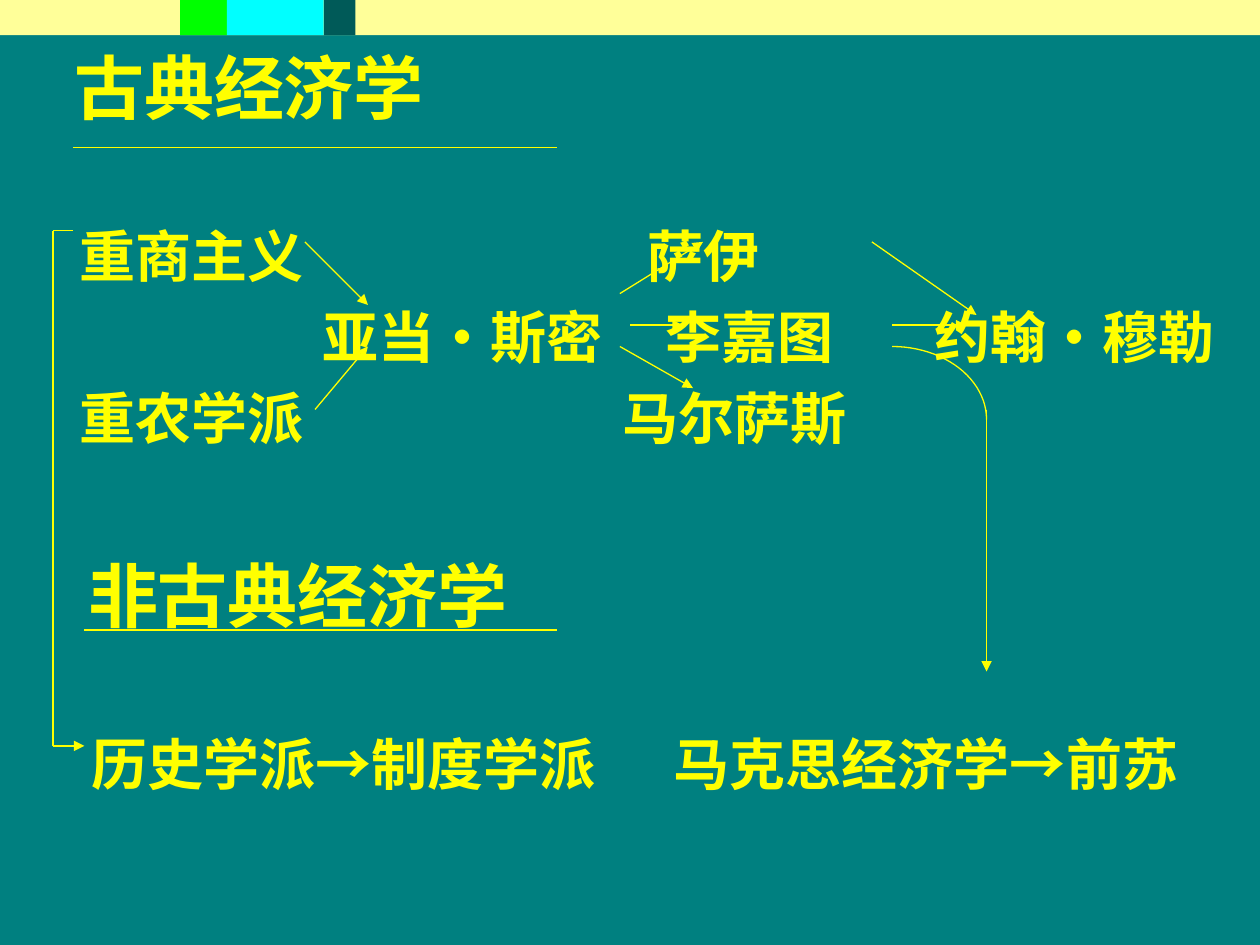
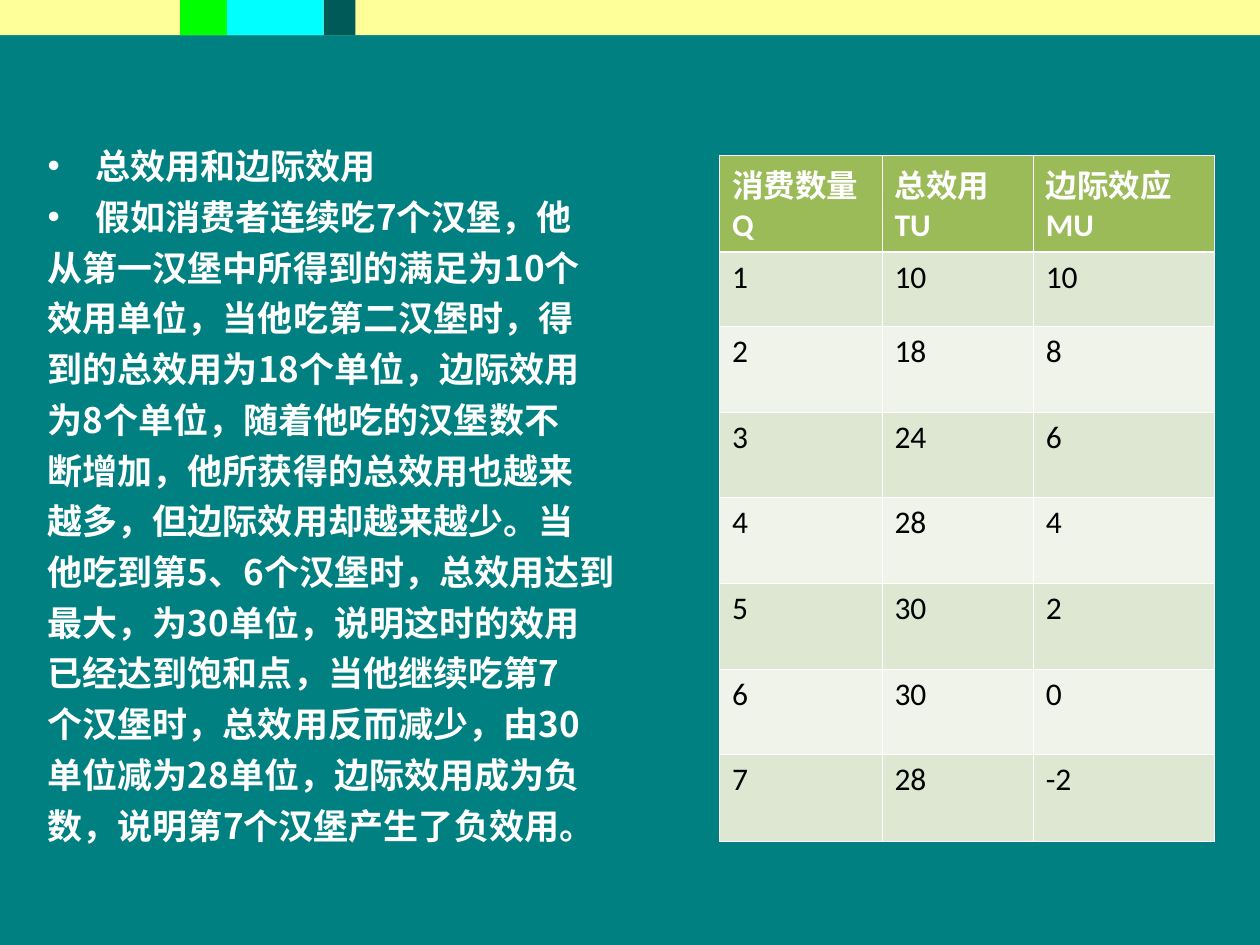
from math import cos, pi, sin

from lxml.etree import SubElement
from pptx import Presentation
from pptx.dml.color import RGBColor
from pptx.enum.shapes import MSO_CONNECTOR, MSO_SHAPE
from pptx.oxml.ns import qn
from pptx.util import Inches, Pt

COLORS = {
    "background": "008080", "band": "FFFF99", "green": "00FF00",
    "cyan": "00FFFF", "dark": "005A58", "yellow": "FFFF00",
    "white": "FFFFFF", "black": "000000", "header": "9BBB59",
    "row_odd": "DEE7D1", "row_even": "EFF3EA",
}
CJK_FONT = "Noto Sans CJK SC"

# Schools: size, space before, tab stops and the words at them
SCHOOLS = [
    (40, 0, [0.24], ["古典经济学"]),
    (32, 50, [0.28, 4.79], ["重商主义", "萨伊"]),
    (32, 4.7, [2.21, 4.93, 7.07], ["亚当•斯密", "李嘉图", "约翰•穆勒"]),
    (32, 4.7, [0.28, 4.59], ["重农学派", "马尔萨斯"]),
    (40, 54, [0.35], ["非古典经济学"]),
    (32, 50, [0.38, 5], ["历史学派→制度学派", "马克思经济学→前苏"]),
]
ARROWS = [
    (2.42, 1.92, 2.92, 2.42), (2.5, 3.25, 2.92, 2.75),
    (4.92, 2.33, 5.58, 1.92), (5, 2.58, 5.42, 2.58),
    (4.92, 2.75, 5.5, 3.08), (6.92, 1.92, 7.75, 2.5),
    (7.08, 2.58, 7.67, 2.58), (0.42, 5.92, 0.67, 5.92),
    (7.83, 3.25, 7.83, 5.33),
]
PLAIN_LINES = [
    (0.58, 1.17, 4.42, 1.17), (0.67, 5, 4.42, 5),
    (0.42, 1.83, 0.58, 1.83), (0.42, 1.83, 0.42, 5.92),
]
UTILITY_TEXT = [
    "总效用和边际效用",
    "假如消费者连续吃7个汉堡，他",
    "从第一汉堡中所得到的满足为10个",
    "效用单位，当他吃第二汉堡时，得",
    "到的总效用为18个单位，边际效用",
    "为8个单位，随着他吃的汉堡数不",
    "断增加，他所获得的总效用也越来",
    "越多，但边际效用却越来越少。当",
    "他吃到第5、6个汉堡时，总效用达到",
    "最大，为30单位，说明这时的效用",
    "已经达到饱和点，当他继续吃第7",
    "个汉堡时，总效用反而减少，由30",
    "单位减为28单位，边际效用成为负",
    "数，说明第7个汉堡产生了负效用。",
]
UTILITY_TABLE = [
    ("消费数量Q", "总效用TU", "边际效应MU"),
    (1, 10, 10), (2, 18, 8), (3, 24, 6), (4, 28, 4),
    (5, 30, 2), (6, 30, 0), (7, 28, -2),
]


def rgb(name):
    return RGBColor.from_string(COLORS[name])


def style_runs(p, size, color, font, bold=True):
    for r in p.runs:
        r.font.size = Pt(size)
        r.font.bold = bold
        r.font.name = font
        r.font.color.rgb = rgb(color)
        SubElement(r.font._element, qn("a:ea"), typeface=CJK_FONT)


def add_text_box(s, x, y, w, h):
    tf = s.shapes.add_textbox(Inches(x), Inches(y), Inches(w), Inches(h)).text_frame
    tf.word_wrap = True
    return tf


def next_paragraph(tf, index):
    return tf.add_paragraph() if index else tf.paragraphs[0]


def set_spacing(p, size, before):
    p.line_spacing = Pt(1.3 * size)
    p.space_before = Pt(before)


def add_line(s, x1, y1, x2, y2, arrow=False):
    line = s.shapes.add_connector(
        MSO_CONNECTOR.STRAIGHT, Inches(x1), Inches(y1), Inches(x2), Inches(y2))
    line.line.color.rgb = rgb("yellow")
    line.line.width = Pt(0.75)
    spPr = line._element.spPr
    if arrow:
        SubElement(spPr.find(qn("a:ln")), qn("a:tailEnd"), type="triangle")
    SubElement(spPr, qn("a:effectLst"))


def add_curve(s, x, y, w, h, steps=24):
    """Quarter ellipse from the top left to the bottom right of its box."""
    angles = [pi / 2 * i / steps for i in range(steps + 1)]
    points = [(Inches(x + w * sin(a)), Inches(y + h * (1 - cos(a)))) for a in angles]
    builder = s.shapes.build_freeform(*points[0])
    builder.add_line_segments(points[1:], close=False)
    sp = builder.convert_to_shape()
    sp.shadow.inherit = False
    sp.fill.background()
    sp.line.color.rgb = rgb("yellow")
    sp.line.width = Pt(0.75)


def new_slide(prs):
    s = prs.slides.add_slide(prs.slide_layouts[6])
    s.background.fill.solid()
    s.background.fill.fore_color.rgb = rgb("background")
    # Colour band along the top
    for color, x, w in [("band", 0, 10), ("green", 1.43, 0.38),
                        ("cyan", 1.8, 0.77), ("dark", 2.57, 0.25)]:
        sp = s.shapes.add_shape(
            MSO_SHAPE.RECTANGLE, Inches(x), 0, Inches(w), Inches(0.28))
        sp.shadow.inherit = False
        sp.fill.solid()
        sp.fill.fore_color.rgb = rgb(color)
        sp.line.fill.background()
    return s


def add_schools(s, x, y, w, h):
    tf = add_text_box(s, x, y, w, h)
    for i, (size, before, stops, words) in enumerate(SCHOOLS):
        p = next_paragraph(tf, i)
        p.text = "".join("\t" + word for word in words)
        tabs = SubElement(p._p.get_or_add_pPr(), qn("a:tabLst"))
        for stop in stops:
            SubElement(tabs, qn("a:tab"), pos=str(Inches(stop)), algn="l")
        set_spacing(p, size, before)
        style_runs(p, size, "yellow", "Arial")


def add_utility_text(s, x, y, w, h, size=20, bullets=2):
    tf = add_text_box(s, x, y, w, h)
    for i, text in enumerate(UTILITY_TEXT):
        p = next_paragraph(tf, i)
        p.text = text
        pPr = p._p.get_or_add_pPr()
        pPr.set("marL", str(Inches(0.38)))
        pPr.set("indent", str(-Inches(0.38)))
        if i < bullets:
            SubElement(pPr, qn("a:buFont"), typeface="Arial")
            SubElement(pPr, qn("a:buChar"), char="•")
        else:
            SubElement(pPr, qn("a:buNone"))
        set_spacing(p, size, 3 if i else 0)
        style_runs(p, size, "white", CJK_FONT)


def set_borders(cell, thick_side=None):
    tcPr = cell._tc.get_or_add_tcPr()
    for side in ("lnL", "lnR", "lnT", "lnB"):
        width = Pt(1.47 if side == thick_side else 0.45)
        ln = SubElement(tcPr, qn("a:" + side), w=str(width))
        fill = SubElement(ln, qn("a:solidFill"))
        SubElement(fill, qn("a:srgbClr"), val=COLORS["white"])


def add_utility_table(s, x, y, w, h):
    table = s.shapes.add_table(
        len(UTILITY_TABLE), 3, Inches(x), Inches(y), Inches(w), Inches(h)).table
    for column, width in zip(table.columns, (1.29, 1.2, 1.44)):
        column.width = Inches(width)
    for row, height in zip(table.rows, [0.77, 0.59] + [0.68] * 5 + [0.69]):
        row.height = Inches(height)
    for i, values in enumerate(UTILITY_TABLE):
        fill = "header" if i == 0 else "row_odd" if i % 2 else "row_even"
        for j, value in enumerate(values):
            cell = table.cell(i, j)
            cell.text = str(value)
            set_borders(cell, {0: "lnB", 1: "lnT"}.get(i))
            cell.fill.solid()
            cell.fill.fore_color.rgb = rgb(fill)
            style_runs(cell.text_frame.paragraphs[0], 18,
                       "black" if i else "white", "Calibri", bold=i == 0)


def schools_slide(prs):
    s = new_slide(prs)
    add_schools(s, 0.25, 0.25, 9.75, 6.67)
    for ends in PLAIN_LINES:
        add_line(s, *ends)
    for ends in ARROWS:
        add_line(s, *ends, arrow=True)
    add_curve(s, 7.08, 2.75, 0.75, 0.58)


def utility_slide(prs):
    s = new_slide(prs)
    add_utility_text(s, 0.28, 1.07, 5.28, 5.75)
    add_utility_table(s, 5.71, 1.23, 3.94, 5.47)


def main():
    prs = Presentation()
    prs.slide_width, prs.slide_height = Inches(10), Inches(7.5)
    schools_slide(prs)
    utility_slide(prs)
    prs.save("out.pptx")


if __name__ == "__main__":
    main()
